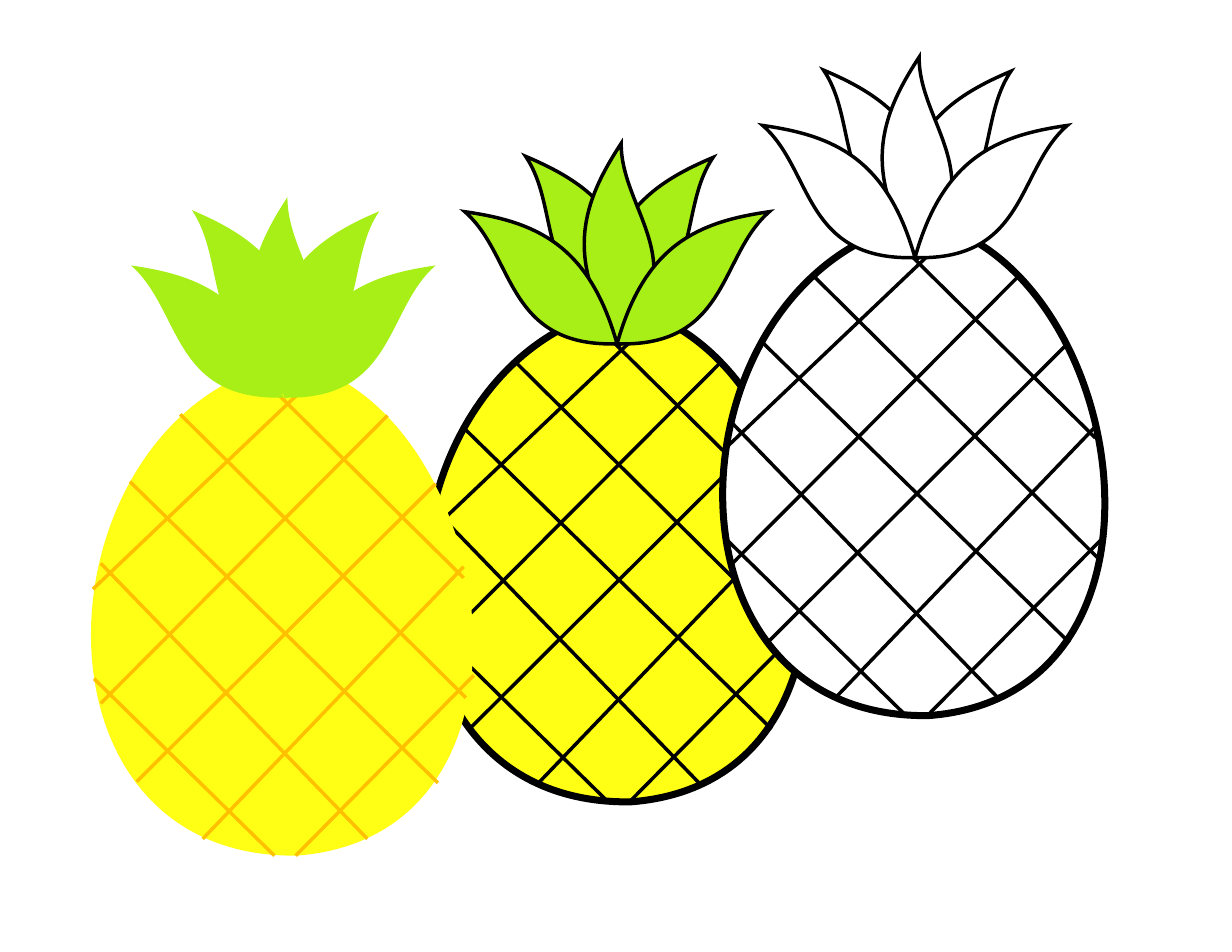
from dataclasses import dataclass
from lxml.etree import SubElement
from pptx import Presentation
from pptx.dml.color import RGBColor
from pptx.enum.shapes import MSO_CONNECTOR
from pptx.oxml.ns import qn
from pptx.util import Inches, Pt

CELL = Inches(0.01)  # the slide is a grid of 1100 columns by 850 rows


@dataclass(frozen=True)
class Theme:
    leaf: str = "A7EF16"
    skin: str = "FFFF15"
    gold: str = "FFC000"
    ink: str = "000000"
    paper: str = "FFFFFF"
    thin: float = 2.25
    bold: float = 4.5


@dataclass(frozen=True)
class Look:
    leaf: str
    skin: str
    grid: str
    edge: str = ""


THEME = Theme()

# Outlines: a kind of step with its points, in grid cells
LEAF_SIZE = (136, 118)
LEAF = [
    ("moveTo", [(0, 118)]),
    ("cubicBezTo", [(25, 29), (73, 9), (136, 0)]),
    ("cubicBezTo", [(91, 39), (100, 121), (0, 118)]),
]
BODY_SIZE = (341, 433)
BODY = [
    ("moveTo", [(146, 0)]),
    ("lnTo", [(207, 0)]),
    ("cubicBezTo", [(368, 68), (412, 416), (184, 433)]),
    ("cubicBezTo", [(-60, 436), (-49, 73), (146, 0)]),
]

# Leaves: column, row, turn, mirrored
REAR = [(139, -127, -14.8, False), (73, -128, 14.8, True)]
FRONT = [(107, -124, -48.6, False), (172, -94, 0, False), (36, -94, 0, True)]

# Skin lines: start column and row, end column and row
SKIN = [
    (207, 0, 2, 195), (265, 40, 9, 297), (308, 101, 41, 367),
    (333, 175, 100, 418), (342, 272, 183, 433),
    (80, 39, 335, 292), (35, 99, 310, 368), (9, 172, 247, 418),
    (3, 275, 164, 433), (146, 0, 333, 185),
]


class Page:
    def __init__(self, theme, slide):
        self.theme = theme
        self.slide = slide

    def curve(self, shapes, col, row, size, steps, fill, edge, weight):
        """Add a closed outline of lines and Bezier curves."""
        wide, high = size
        pen = shapes.build_freeform(0, 0, scale=CELL)
        pen.add_line_segments([(wide, 0), (wide, high), (0, high)])
        shape = pen.convert_to_shape(col * CELL, row * CELL)
        trace = shape._element.find(".//" + qn("a:path"))
        for old in list(trace):
            trace.remove(old)
        for kind, points in steps:
            step = SubElement(trace, qn("a:" + kind))
            for x, y in points:
                SubElement(step, qn("a:pt"), x=str(x), y=str(y))
        SubElement(trace, qn("a:close"))
        shape.shadow.inherit = False
        shape.fill.solid()
        shape.fill.fore_color.rgb = RGBColor.from_string(fill)
        if edge:
            shape.line.color.rgb = RGBColor.from_string(edge)
            shape.line.width = Pt(weight)
            ln = shape._element.spPr.find(qn("a:ln"))
            SubElement(ln, qn("a:miter"), lim="800000")
        else:
            shape.line.fill.background()
        return shape

    def leaf(self, shapes, col, row, turn, mirrored, look):
        steps = LEAF
        if mirrored:
            wide = LEAF_SIZE[0]
            steps = [(kind, [(wide - x, y) for x, y in points])
                     for kind, points in LEAF]
        shape = self.curve(shapes, col, row, LEAF_SIZE, steps,
                           look.leaf, look.edge, self.theme.thin)
        shape.rotation = turn

    def line(self, shapes, ends, color):
        wire = shapes.add_connector(MSO_CONNECTOR.STRAIGHT,
                                    *[end * CELL for end in ends])
        wire.line.color.rgb = RGBColor.from_string(color)
        wire.line.width = Pt(self.theme.thin)
        SubElement(wire._element.spPr, qn("a:effectLst"))

    def fruit(self, col, row, look):
        shapes = self.slide.shapes.add_group_shape().shapes
        for x, y, turn, mirrored in REAR:
            self.leaf(shapes, col + x, row + y, turn, mirrored, look)
        self.curve(shapes, col, row, BODY_SIZE, BODY,
                   look.skin, look.edge, self.theme.bold)
        for x1, y1, x2, y2 in SKIN:
            ends = (col + x1, row + y1, col + x2, row + y2)
            self.line(shapes, ends, look.grid)
        for x, y, turn, mirrored in FRONT:
            self.leaf(shapes, col + x, row + y, turn, mirrored, look)


def main():
    deck = Presentation()
    deck.slide_width, deck.slide_height = 1100 * CELL, 850 * CELL
    page = Page(THEME, deck.slides.add_slide(deck.slide_layouts[6]))
    t = THEME
    page.fruit(379, 283, Look(t.leaf, t.skin, t.ink, t.ink))
    page.fruit(645, 206, Look(t.paper, t.paper, t.ink, t.ink))
    page.fruit(81, 331, Look(t.leaf, t.skin, t.gold))
    deck.save("out.pptx")


if __name__ == "__main__":
    main()
